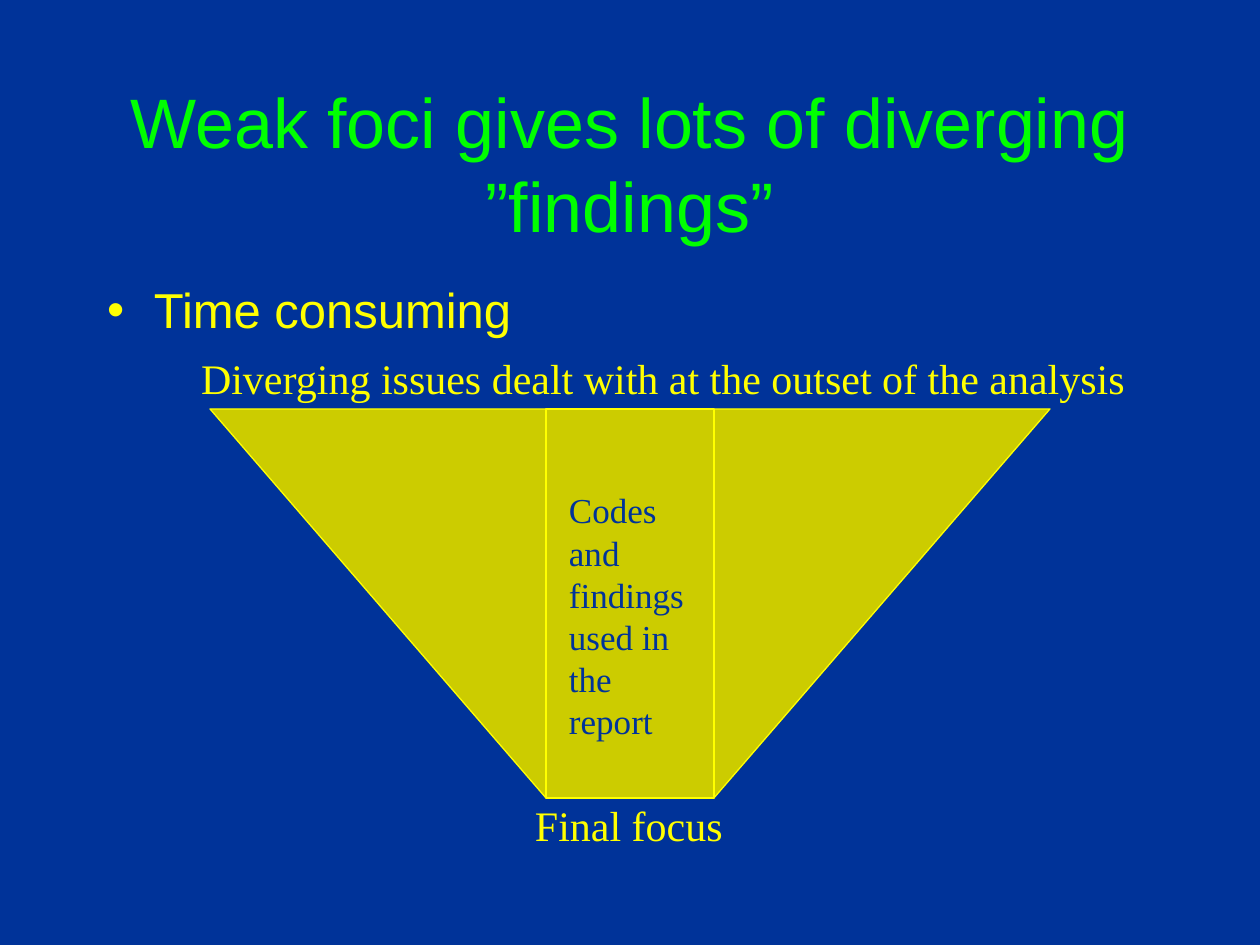
from lxml.etree import SubElement
from pptx import Presentation
from pptx.dml.color import RGBColor
from pptx.enum.shapes import MSO_SHAPE
from pptx.enum.text import MSO_ANCHOR, MSO_AUTO_SIZE, PP_ALIGN
from pptx.oxml.ns import qn
from pptx.util import Emu, Pt

PIXELS_PER_INCH = 126
EMU_PER_PIXEL = 914400 / PIXELS_PER_INCH
BLUE, GREEN, YELLOW, OLIVE = "003399", "00FF00", "FFFF00", "CCCC00"


def px(length):
    return Emu(round(length * EMU_PER_PIXEL))


def color(hex_code):
    return RGBColor.from_string(hex_code)


def place(shape, left, top, width, height):
    shape.left, shape.top = px(left), px(top)
    shape.width, shape.height = px(width), px(height)


def add_bullet(paragraph, character, indent, hex_code):
    properties = paragraph._p.get_or_add_pPr()
    properties.set("marL", str(px(indent)))
    properties.set("indent", str(-px(indent)))
    bullet_color = SubElement(properties, qn("a:buClr"))
    SubElement(bullet_color, qn("a:srgbClr")).set("val", hex_code)
    SubElement(properties, qn("a:buChar")).set("char", character)


def write_text(shape, text, *, size, hex_code, font="Times New Roman",
               align=PP_ALIGN.LEFT, anchor=MSO_ANCHOR.TOP, wrap=True,
               auto_size=MSO_AUTO_SIZE.NONE, bullet=None):
    frame = shape.text_frame
    frame.word_wrap = wrap
    frame.auto_size = auto_size
    frame.vertical_anchor = anchor
    frame.margin_left = frame.margin_right = px(12)
    frame.margin_top = frame.margin_bottom = px(6)
    paragraph = frame.paragraphs[0]
    paragraph.space_before = Pt(0)
    if bullet:
        add_bullet(paragraph, bullet, 47, hex_code)
    paragraph.alignment = align
    run = paragraph.add_run()
    run.text = text
    run.font.name = font
    run.font.size = Pt(size)
    run.font.color.rgb = color(hex_code)


def add_label(slide, text, box, **text_format):
    label = slide.shapes.add_textbox(*map(px, box))
    write_text(label, text, **text_format)


def paint(shape):
    shape.shadow.inherit = False
    shape.fill.solid()
    shape.fill.fore_color.rgb = color(OLIVE)
    shape.line.color.rgb = color(YELLOW)
    shape.line.width = Pt(0.75)


def add_funnel(slide, left, top, width, height, core_width):
    core_left = left + (width - core_width) // 2
    core_right, bottom = core_left + core_width, top + height
    builder = slide.shapes.build_freeform(left, top, scale=EMU_PER_PIXEL)
    builder.add_line_segments(
        [(left + width, top), (core_right, bottom), (core_left, bottom)], close=True)
    paint(builder.convert_to_shape())
    paint(slide.shapes.add_shape(
        MSO_SHAPE.RECTANGLE, px(core_left), px(top), px(core_width), px(height)))


def main():
    presentation = Presentation()
    presentation.slide_width, presentation.slide_height = px(1260), px(945)
    slide = presentation.slides.add_slide(presentation.slide_layouts[1])
    slide.background.fill.solid()
    slide.background.fill.fore_color.rgb = color(BLUE)

    # Title and list
    title, body = slide.placeholders
    place(title, 94, 84, 1071, 158)
    write_text(title, "Weak foci gives lots of diverging ”findings”", size=40,
               hex_code=GREEN, font="Arial", align=PP_ALIGN.CENTER,
               anchor=MSO_ANCHOR.MIDDLE)
    place(body, 95, 274, 1071, 73)
    write_text(body, "Time consuming", size=28, hex_code=YELLOW, font="Arial",
               bullet="•")

    # Funnel with its core
    add_funnel(slide, 210, 409, 840, 389, core_width=168)

    # Labels, the one-line ones with room to spare on the right
    add_label(slide, "Final focus", (523, 794, 225, 63),
              size=24, hex_code=YELLOW)
    add_label(slide, "Diverging issues dealt with at the outset of the analysis",
              (189, 347, 962, 63), size=24, hex_code=YELLOW)
    add_label(slide, "Codes and findings used in the report",
              (557, 483, 147, 265), size=20, hex_code=BLUE)

    presentation.save("out.pptx")


if __name__ == "__main__":
    main()
